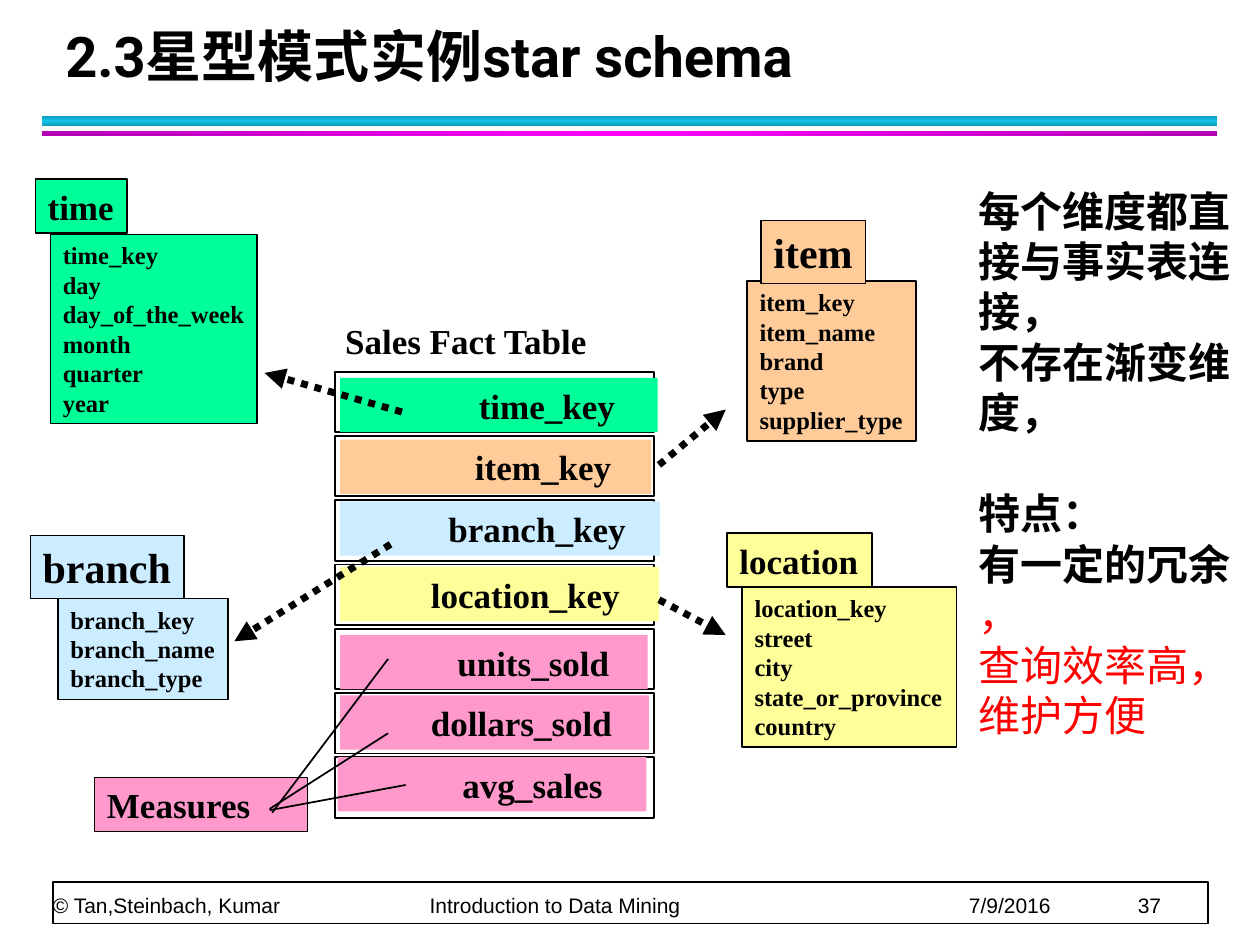
from copy import deepcopy
from lxml.etree import SubElement
from pptx import Presentation
from pptx.dml.color import RGBColor
from pptx.enum.dml import MSO_LINE
from pptx.enum.shapes import MSO_CONNECTOR, MSO_SHAPE
from pptx.enum.text import MSO_ANCHOR
from pptx.oxml.ns import qn
from pptx.util import Inches, Pt

color = RGBColor.from_string
GREEN, ORANGE, BLUE, YELLOW, PINK = "00FF99", "FFCC99", "CCECFF", "FFFF99", "FF99CC"
SERIF = "Times New Roman"

deck = Presentation()
deck.slide_width, deck.slide_height = Inches(10), Inches(7.5)
page = deck.slides.add_slide(deck.slide_layouts[6])


def add_box(place, lines=(), size=20, font=SERIF, bold=True, fill=None, line=None, wrap=True):
    box = page.shapes.add_shape(MSO_SHAPE.RECTANGLE, *[Inches(value) for value in place])
    box.shadow.inherit = False
    if fill:
        box.fill.solid()
        box.fill.fore_color.rgb = color(fill)
    else:
        box.fill.background()
    if line:
        box.line.color.rgb = color("000000")
        box.line.width = Pt(line)
    else:
        box.line.fill.background()
    frame = box.text_frame
    frame.word_wrap = wrap
    frame.vertical_anchor = MSO_ANCHOR.TOP
    for index, text in enumerate(lines):
        para = frame.paragraphs[0] if index == 0 else frame.add_paragraph()
        para.add_run().text = text
        properties = para._p.get_or_add_pPr()
        properties.set("algn", "l")
        if "\t" in text:
            tabs = SubElement(properties, qn("a:tabLst"))
            for stop in (2.99, 7.27, 8.61):
                SubElement(tabs, qn("a:tab"), pos=str(Inches(stop)), algn="l")
        para.font.size = Pt(size)
        para.font.name = font
        para.font.bold = bold
        para.font.color.rgb = color("000000")
    return box


def add_line(start, end, width, dotted=False):
    ends = [Inches(value) for value in (*start, *end)]
    connector = page.shapes.add_connector(MSO_CONNECTOR.STRAIGHT, *ends)
    SubElement(connector._element.spPr, qn("a:effectLst"))
    connector.line.color.rgb = color("000000")
    connector.line.width = Pt(width)
    if dotted:
        connector.line.dash_style = MSO_LINE.ROUND_DOT
        SubElement(connector.line._get_or_add_ln(), qn("a:tailEnd"), type="triangle")


for top, height, edge, middle, angle in [
    (0.92, 0.08, "0E9BBA", "12C2E9", 90),
    (1.04, 0.04, "B200B2", "FF00FF", 0),
]:
    band = add_box((0.33, top, 9.33, height))
    band.fill.gradient()
    band.fill.gradient_angle = angle
    first, last = band.fill.gradient_stops
    first.position, first.color.rgb = 0, color(middle)
    last.position, last.color.rgb = 1, color(edge)
    stops = band._element.spPr.find(qn("a:gradFill")).find(qn("a:gsLst"))
    stops.insert(1, deepcopy(stops[0]))
    first.color.rgb = color(edge)
    stops[1].set("pos", "50000")

add_box((0.42, 7, 9.17, 0.33), fill="FFFFFF", line=1)
footer = add_box(
    (0.42, 6.72, 9.15, 0.56),
    ["© Tan,Steinbach, Kumar\tIntroduction to Data Mining\t7/9/2016\t37"],
    size=12, font="Arial", bold=False,
)
title = add_box((0.42, 0.17, 9.06, 0.58), ["2.3星型模式实例star schema"], size=32, font="Roboto")
for box, spacing in [(footer, 20), (title, 36)]:
    box.text_frame.vertical_anchor = MSO_ANCHOR.BOTTOM
    box.text_frame.paragraphs[0].line_spacing = Pt(spacing)
frame = footer.text_frame
frame.margin_left = frame.margin_right = frame.margin_top = frame.margin_bottom = 0

dimensions = [
    ("time", 20, (0.28, 1.42, 0.73, 0.43), GREEN, (0.4, 1.86, 1.64, 1.5),
     ["time_key", "day", "day_of_the_week", "month", "quarter", "year"]),
    ("location", 20, (5.77, 4.23, 1.15, 0.43), YELLOW, (5.89, 4.66, 1.7, 1.27),
     ["location_key", "street", "city", "state_or_province", "country"]),
    ("item", 24, (6.04, 1.75, 0.83, 0.5), ORANGE, (5.93, 2.23, 1.34, 1.27),
     ["item_key", "item_name", "brand", "type", "supplier_type"]),
    ("branch", 24, (0.24, 4.25, 1.22, 0.5), BLUE, (0.46, 4.75, 1.35, 0.8),
     ["branch_key", "branch_name", "branch_type"]),
]
for name, size, name_place, fill, field_place, fields in dimensions:
    add_box(field_place, fields, size=14, fill=fill, line=0.75, wrap=False)
    add_box(name_place, [name], size=size, fill=fill, line=0.75, wrap=False)

add_box((2.64, 2.49, 2.22, 0.43), ["Sales Fact Table"])
fact_rows = [
    ("time_key", GREEN, 2.7, 3, 2.52, 3.8),
    ("item_key", ORANGE, 2.7, 3.49, 2.47, 3.77),
    ("branch_key", BLUE, 2.7, 3.98, 2.54, 3.56),
    ("location_key", YELLOW, 2.7, 4.5, 2.53, 3.42),
    ("units_sold", PINK, 2.7, 5.04, 2.44, 3.63),
    ("dollars_sold", PINK, 2.7, 5.52, 2.45, 3.42),
    ("avg_sales", PINK, 2.68, 6.01, 2.45, 3.67),
]
for index, (name, fill, left, top, width, text_left) in enumerate(fact_rows):
    add_box((2.66, 2.95 + 0.51 * index, 2.53, 0.48), line=1)
    row = add_box((left, top, width, 0.43), [name], fill=fill)
    row.text_frame.margin_left = Inches(text_left - left)

add_box((0.75, 6.17, 1.69, 0.43), ["Measures"], fill=PINK, line=0.75)
for start, end in [
    ((2.16, 6.45), (3.08, 5.23)),
    ((2.14, 6.42), (3.08, 5.82)),
    ((2.14, 6.43), (3.22, 6.23)),
]:
    add_line(start, end, 1)
for start, end in [
    ((3.1, 4.32), (1.86, 5.09)),
    ((3.19, 3.27), (2.1, 2.96)),
    ((5.23, 4.76), (5.76, 5.04)),
    ((5.23, 3.69), (5.76, 3.25)),
]:
    add_line(start, end, 4, dotted=True)

remarks = add_box(
    (7.67, 1.42, 2.27, 4.5),
    ["每个维度都直接与事实表连接，", "不存在渐变维度，", "特点：", "有一定的冗余", "，", "查询效率高，维护方便"],
    size=24, font="Arial",
)
paragraphs = remarks.text_frame.paragraphs
paragraphs[2].space_before = Pt(29)
for para in paragraphs[4:]:
    para.font.bold = False
    para.font.color.rgb = color("FF0000")

deck.save("out.pptx")
